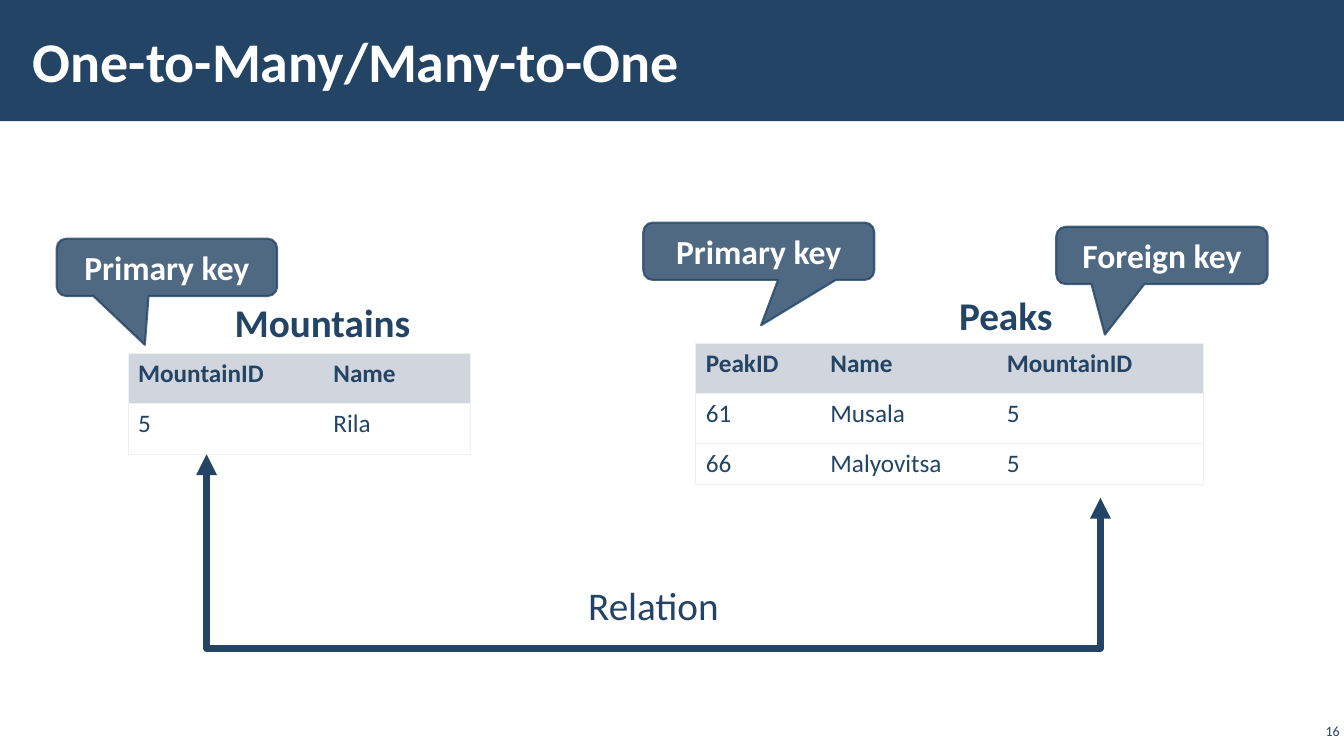
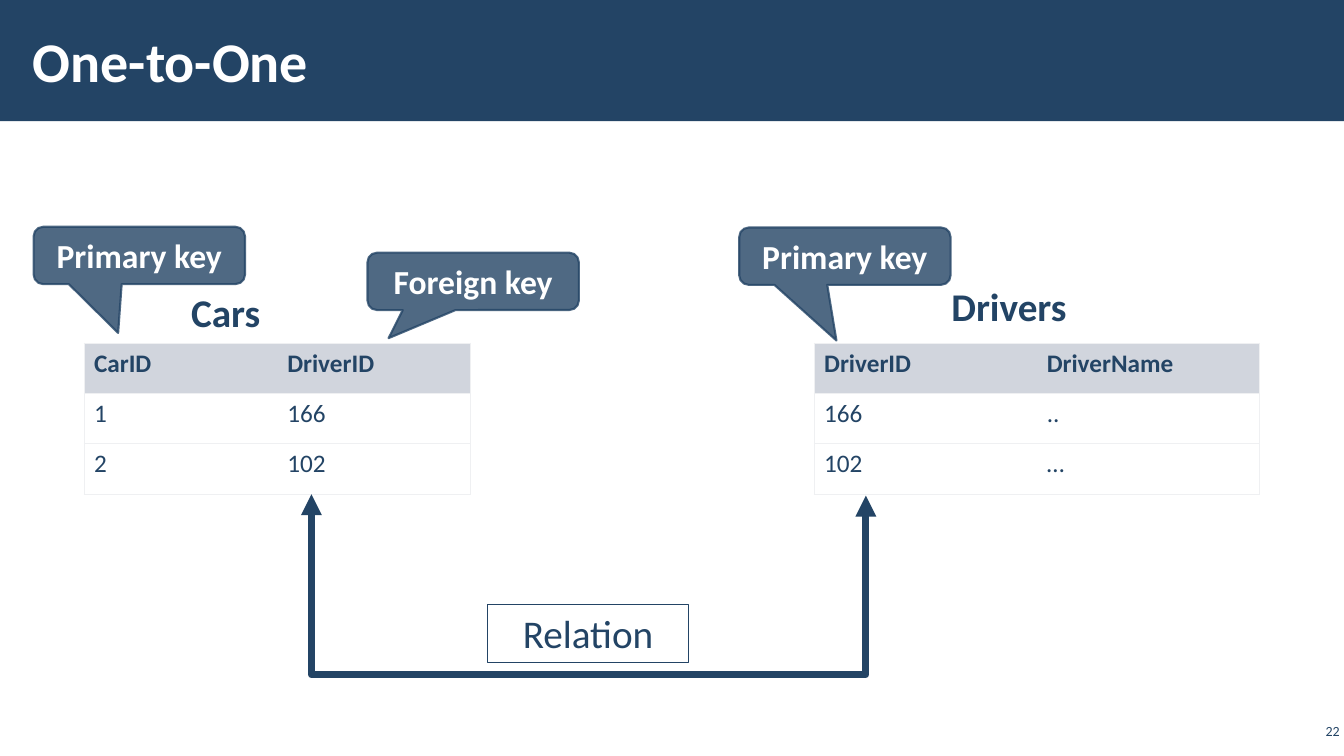
"""Build two slides on table relations."""
import pptx
import pptx.util
import pptx.dml.color
import pptx.enum.shapes
import pptx.enum.text
import pptx.oxml
import pptx.oxml.ns

Pt = pptx.util.Pt
RGB = pptx.dml.color.RGBColor
SHAPE = pptx.enum.shapes.MSO_SHAPE
ALIGN = pptx.enum.text.PP_ALIGN
MIDDLE = pptx.enum.text.MSO_ANCHOR.MIDDLE
TOP = pptx.enum.text.MSO_ANCHOR.TOP

NAVY = RGB(0x23, 0x44, 0x65)
WHITE = RGB(0xFF, 0xFF, 0xFF)
HEAD = RGB(0xD1, 0xD5, 0xDD)
EDGE = RGB(0xEF, 0xF0, 0xF2)
FONT = "Calibri"
WIDE, HIGH = 960, 540
BAND = 86.5
ROW = 36
TAG = 41

SLIDES = [
    {
        "title": "One-to-Many/Many-to-One",
        "number": "16",
        "tables": [
            {
                "name": "Mountains", "label": (160.5, 209.5, 141),
                "at": (91.5, 252.5), "cols": (139.5, 105), "rows": (ROW, ROW),
                "cells": [("MountainID", "Name"), ("5", "Rila")],
            },
            {
                "name": "Peaks", "label": (678, 204.5, 82),
                "at": (497, 245), "cols": (89, 126, 147.5),
                "rows": (ROW, ROW, 29),
                "cells": [
                    ("PeakID", "Name", "MountainID"),
                    ("61", "Musala", "5"),
                    ("66", "Malyovitsa", "5"),
                ],
            },
        ],
        "keys": [
            ("Primary key", (40.5, 170.5, 157.5), (-0.1, 1.35)),
            ("Primary key", (459.5, 159, 165), (0.01, 1.29)),
            ("Foreign key", (754.5, 162, 151), (-0.27, 1.38)),
        ],
        "link": ((147.5, 324.5), (786, 355.5), 463),
        "note": (389, 412, 155.5),
        "framed": False,
    },
    {
        "title": "One-to-One",
        "number": "22",
        "tables": [
            {
                "name": "Cars", "label": (129.5, 202.5, 65),
                "at": (60, 245), "cols": (138, 138), "rows": (ROW, ROW, ROW),
                "cells": [("CarID", "DriverID"), ("1", "166"), ("2", "102")],
            },
            {
                "name": "Drivers", "label": (672.5, 198, 98),
                "at": (581.5, 245), "cols": (159, 159),
                "rows": (ROW, ROW, ROW),
                "cells": [
                    ("DriverID", "DriverName"), ("166", ".."), ("102", "…"),
                ],
            },
        ],
        "keys": [
            ("Primary key", (24, 162, 151), (-0.1, 1.35)),
            ("Foreign key", (262.5, 180.5, 151), (-0.4, 0.99)),
            ("Primary key", (528, 162.5, 151), (-0.04, 1.47)),
        ],
        "link": ((222.5, 353), (618.5, 354), 483),
        "note": (348, 432, 144),
        "framed": True,
    },
]


def node(parent, tag, **attrs):
    """Append a drawing element to a parent."""
    item = pptx.oxml.parse_xml(f"<a:{tag} {pptx.oxml.ns.nsdecls('a')}/>")
    for key, value in attrs.items():
        item.set(key, str(value))
    parent.append(item)
    return item


def write(frame, text, size, color=NAVY, bold=False, align=ALIGN.LEFT,
          anchor=TOP, wrap=True):
    """Set the text of a frame and its style."""
    frame.text = text
    frame.word_wrap = wrap
    frame.vertical_anchor = anchor
    style(frame.paragraphs[0], size, color, bold, align)


def style(para, size, color, bold, align=ALIGN.LEFT):
    """Format one paragraph."""
    para.alignment = align
    para.font.name = FONT
    para.font.size = Pt(size)
    para.font.bold = bold
    para.font.color.rgb = color


def inset(frame, side, end):
    """Set the margins of a text frame."""
    frame.margin_left = frame.margin_right = Pt(side)
    frame.margin_top = frame.margin_bottom = Pt(end)


def add_box(slide, left, top, width, height=TAG):
    """Add a text box and return its frame."""
    return slide.shapes.add_textbox(
        Pt(left), Pt(top), Pt(width), Pt(height)).text_frame


def add_shape(slide, kind, left, top, width, height=TAG):
    """Add a navy shape without a shadow."""
    shape = slide.shapes.add_shape(
        kind, Pt(left), Pt(top), Pt(width), Pt(height))
    shape.shadow.inherit = False
    shape.fill.solid()
    shape.fill.fore_color.rgb = NAVY
    shape.line.color.rgb = NAVY
    return shape


def set_edges(cell, first, last):
    """Draw the cell's borders, leaving out inner uprights."""
    props = cell._tc.get_or_add_tcPr()
    shown = {"lnL": first, "lnR": last, "lnT": True, "lnB": True}
    for spot, (tag, seen) in enumerate(shown.items()):
        line = node(props, tag, w=Pt(0.75))
        if seen:
            node(node(line, "solidFill"), "srgbClr", val=EDGE)
        else:
            node(line, "noFill")
        props.insert(spot, line)


def add_table(slide, data):
    """Add a table and its name."""
    cols, rows = data["cols"], data["rows"]
    left, top = data["at"]
    table = slide.shapes.add_table(
        len(rows), len(cols), Pt(left), Pt(top),
        Pt(sum(cols)), Pt(sum(rows))).table
    table.horz_banding = False
    for col, width in zip(table.columns, cols):
        col.width = Pt(width)
    for y, height in enumerate(rows):
        table.rows[y].height = Pt(height)
        for x, text in enumerate(data["cells"][y]):
            cell = table.cell(y, x)
            cell.text = text
            style(cell.text_frame.paragraphs[0], 18, NAVY, y == 0)
            cell.fill.solid()
            cell.fill.fore_color.rgb = WHITE if y else HEAD
            set_edges(cell, x == 0, x == len(cols) - 1)
    write(add_box(slide, *data["label"]), data["name"], 28, bold=True,
          wrap=False)


def add_key(slide, text, place, tip):
    """Add a see-through callout whose tip marks a column."""
    shape = add_shape(slide, SHAPE.ROUNDED_RECTANGULAR_CALLOUT, *place)
    shape.adjustments[0], shape.adjustments[1] = tip
    shape.line.width = Pt(1.5)
    for color in shape._element.spPr.iter(pptx.oxml.ns.qn("a:srgbClr")):
        node(color, "alpha", val=80000)
    write(shape.text_frame, text, 24, WHITE, True, ALIGN.CENTER, MIDDLE)


def add_link(slide, start, end, floor):
    """Join two columns with a double arrow that dips to the floor."""
    (x1, y1), (x2, y2) = start, end
    width, height = y2 - y1, x2 - x1
    left = (x1 + x2 - width) / 2
    top = (y1 + y2 - height) / 2
    link = slide.shapes.add_connector(
        pptx.enum.shapes.MSO_CONNECTOR.ELBOW,
        Pt(left + width), Pt(top), Pt(left), Pt(top + height))
    link.line.color.rgb = NAVY
    link.line.width = Pt(5)
    props = link._element.spPr
    props.find(pptx.oxml.ns.qn("a:xfrm")).set("rot", "16200000")
    guides = props.find(".//" + pptx.oxml.ns.qn("a:avLst"))
    bend = round((floor - y1) / width * 100000)
    node(guides, "gd", name="adj1", fmla=f"val {bend}")
    line = link.line._get_or_add_ln()
    node(line, "headEnd", type="triangle")
    node(line, "tailEnd", type="triangle")
    node(props, "effectLst")


def add_note(slide, place, framed):
    """Name the relation."""
    if framed:
        shape = add_shape(slide, SHAPE.RECTANGLE, *place)
        shape.fill.background()
        shape.line.width = Pt(0.75)
        frame = shape.text_frame
    else:
        frame = add_box(slide, *place)
    write(frame, "Relation", 28, align=ALIGN.CENTER)


def add_title(slide, text, number):
    """Fill the title and the page number."""
    title = slide.shapes.title
    title.left, title.top, title.width, title.height = map(
        Pt, (15, 8, 749, 70))
    inset(title.text_frame, 8.5, 3)
    write(title.text_frame, text, 40, WHITE, True, anchor=MIDDLE)
    frame = add_box(slide, 926, 514, 34, 16)
    inset(frame, 3, 3)
    write(frame, number, 10, align=ALIGN.RIGHT, anchor=MIDDLE)


def main():
    """Build and save the deck."""
    deck = pptx.Presentation()
    deck.slide_width, deck.slide_height = Pt(WIDE), Pt(HIGH)
    layout = deck.slide_layouts[5]
    for data in SLIDES:
        slide = deck.slides.add_slide(layout)
        if len(deck.slides) == 1:
            band = add_shape(slide, SHAPE.RECTANGLE, 0, 0, WIDE, BAND)
            band.line.fill.background()
            layout.shapes.element.insert(2, band._element)
        add_title(slide, data["title"], data["number"])
        for table in data["tables"]:
            add_table(slide, table)
        for key in data["keys"]:
            add_key(slide, *key)
        add_link(slide, *data["link"])
        add_note(slide, data["note"], data["framed"])
    deck.save("out.pptx")


if __name__ == "__main__":
    main()
